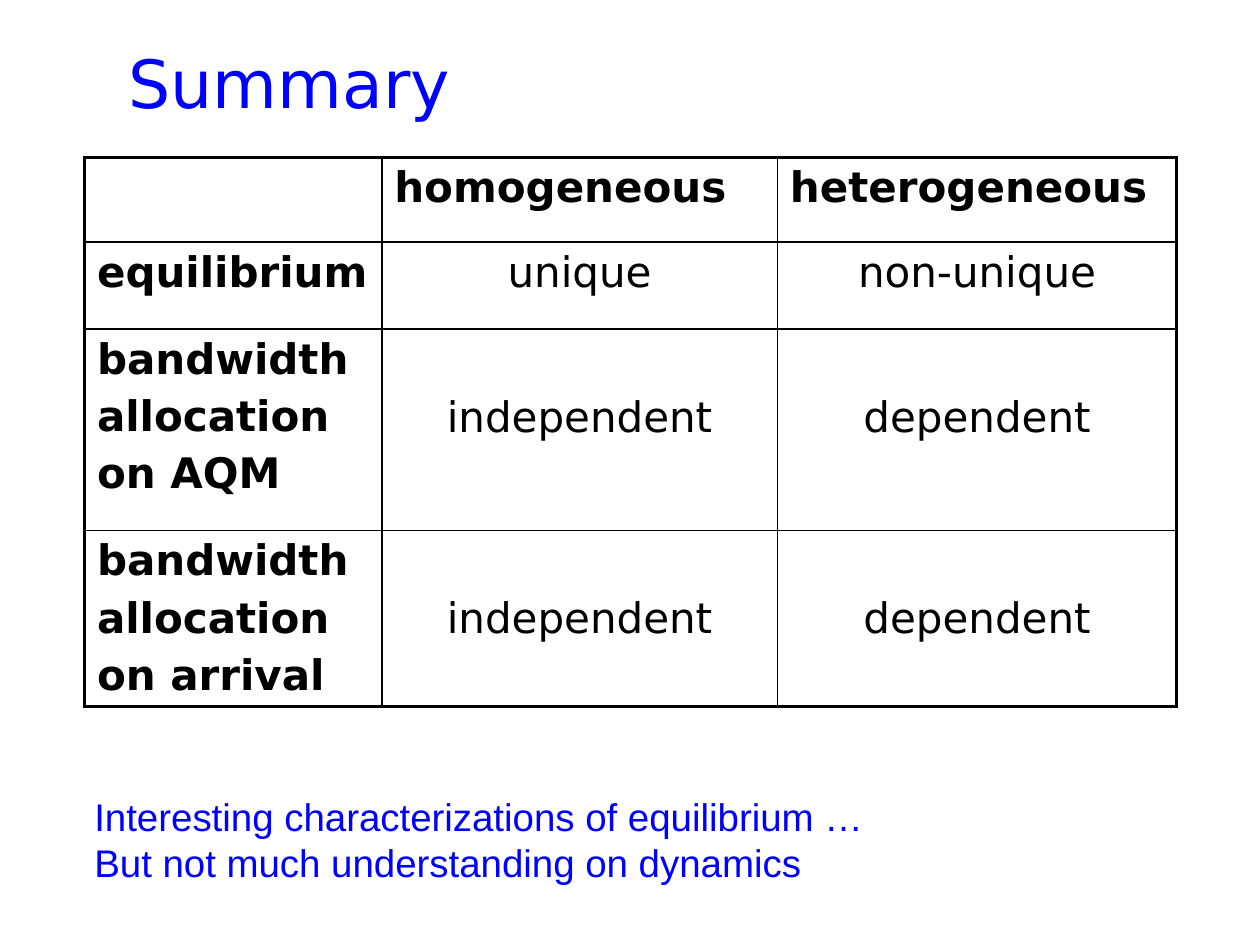
from dataclasses import dataclass

from lxml import etree
from pptx import Presentation
from pptx import util as u
from pptx.dml.color import RGBColor
from pptx.enum import text
from pptx.oxml.ns import qn


@dataclass(frozen=True)
class Theme:
    sans: str = "DejaVu Sans"
    body: str = "Arial"
    blue: str = "0000FF"
    black: str = "000000"
    head: float = 38
    cell: float = 24
    note: float = 22
    thick: float = 2.25
    thin: float = 1


@dataclass(frozen=True)
class Row:
    height: float
    label: str
    homo: str
    hetero: str
    drop: float = 0.05  # top margin of the value cells


T = Theme()
COLS = (2.36, 3.14, 3.17)
ROWS = (
    Row(0.67, "", "homogeneous", "heterogeneous"),
    Row(0.69, "equilibrium", "unique", "non-unique"),
    Row(1.6, "bandwidth\nallocation\non AQM", "independent", "dependent", 0.51),
    Row(1.4, "bandwidth\nallocation\non arrival", "independent", "dependent", 0.51),
)


def style(frame, face: str, size: float, color: str, bold: bool = False) -> None:
    for par in frame.paragraphs:
        for run in par.runs:
            font = run.font
            font.name, font.size, font.bold = face, u.Pt(size), bold
            font.color.rgb = RGBColor.from_string(color)


def border(cell, widths: dict[str, float]) -> None:
    """Put the edge lines ahead of the cell's fill, in schema order."""
    props = cell._tc.get_or_add_tcPr()
    for i, (side, width) in enumerate(widths.items()):
        line = etree.Element(qn(f"a:ln{side}"), w=str(u.Pt(width)))
        fill = etree.SubElement(line, qn("a:solidFill"))
        etree.SubElement(fill, qn("a:srgbClr"), val=T.black)
        props.insert(i, line)


def fill_cell(cell, words: str, r: int, c: int) -> None:
    head = r == 0 or c == 0
    frame = cell.text_frame
    frame.text = words
    style(frame, T.sans, T.cell, T.black, head)
    for i, par in enumerate(frame.paragraphs):
        par.alignment = text.PP_ALIGN.LEFT if head else text.PP_ALIGN.CENTER
        if i:
            par.space_before = u.Pt(4.8)
    if not head:
        cell.margin_top = u.Inches(ROWS[r].drop)
    cell.fill.background()
    outer = {"L": c == 0, "R": c == len(COLS) - 1,
             "T": r == 0, "B": r == len(ROWS) - 1}
    border(cell, {k: T.thick if edge else T.thin for k, edge in outer.items()})


def add_title(slide) -> None:
    title = slide.shapes.title
    title.left, title.top, title.width, title.height = map(
        u.Inches, (0.92, 0.25, 8.83, 0.92))
    frame = title.text_frame
    frame.text = "Summary"
    frame.auto_size = text.MSO_AUTO_SIZE.NONE
    frame.vertical_anchor = text.MSO_ANCHOR.TOP
    frame.margin_top = u.Inches(0.08)
    frame.paragraphs[0].alignment = text.PP_ALIGN.LEFT
    style(frame, T.sans, T.head, T.blue)


def add_grid(slide) -> None:
    size = sum(COLS), sum(row.height for row in ROWS)
    grid = slide.shapes.add_table(
        len(ROWS), len(COLS), *map(u.Inches, (0.67, 1.25, *size))).table
    grid.first_row = grid.horz_banding = False
    for col, width in zip(grid.columns, COLS):
        col.width = u.Inches(width)
    for r, row in enumerate(ROWS):
        grid.rows[r].height = u.Inches(row.height)
        for c, words in enumerate((row.label, row.homo, row.hetero)):
            fill_cell(grid.cell(r, c), words, r, c)


def add_note(slide) -> None:
    box = slide.shapes.add_textbox(*map(u.Inches, (0.65, 6.24, 6.38, 0.84)))
    frame = box.text_frame
    frame.text = ("Interesting characterizations of equilibrium …\n"
                  "But not much understanding on dynamics")
    frame.word_wrap = False
    frame.auto_size = text.MSO_AUTO_SIZE.SHAPE_TO_FIT_TEXT
    for par in frame.paragraphs:
        par.line_spacing = u.Pt(26.5)
    style(frame, T.body, T.note, T.blue)


def main() -> None:
    deck = Presentation()
    deck.slide_width, deck.slide_height = u.Inches(10), u.Inches(7.5)
    slide = deck.slides.add_slide(deck.slide_layouts[5])  # title only
    add_title(slide)
    add_grid(slide)
    add_note(slide)
    deck.save("out.pptx")


if __name__ == "__main__":
    main()
